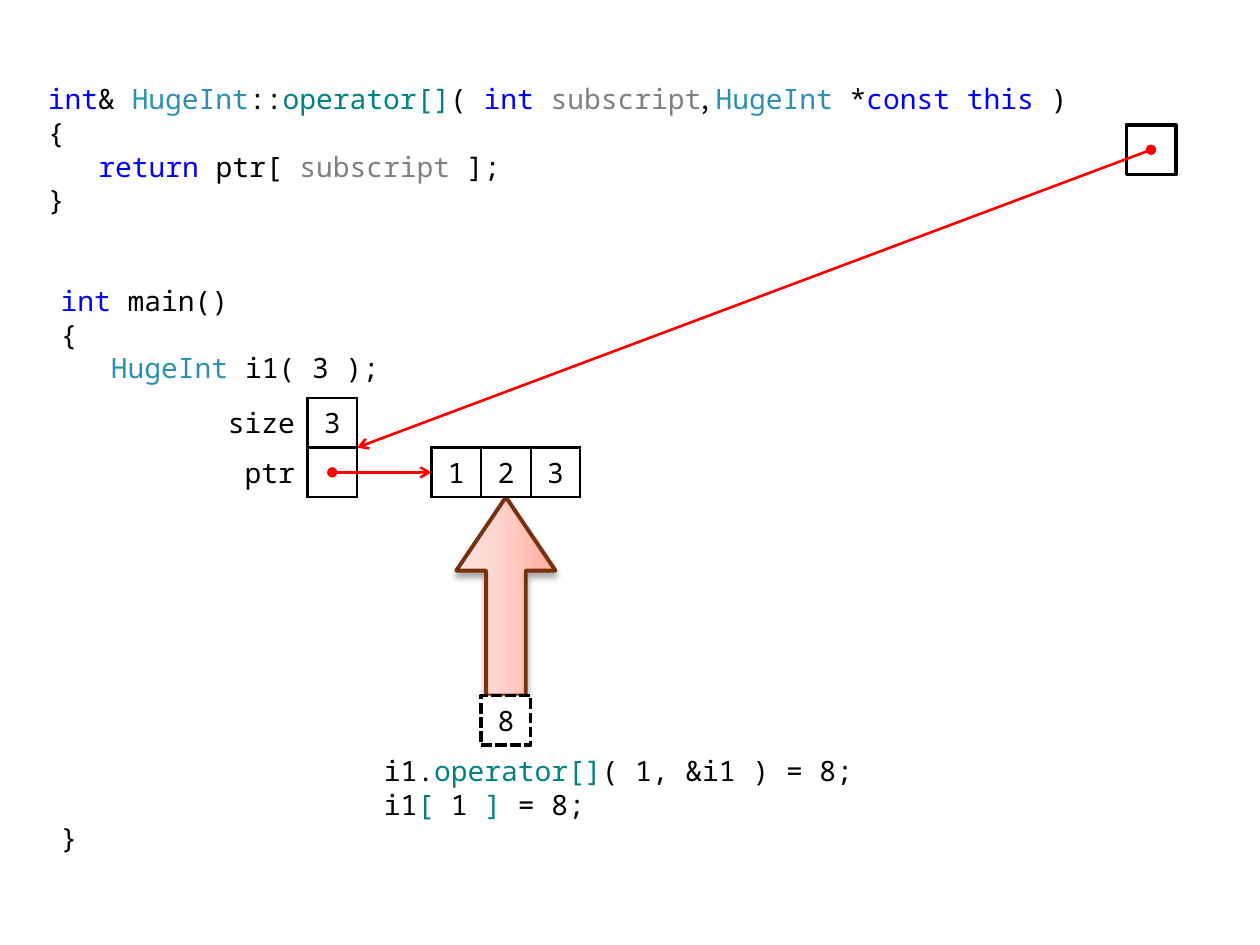
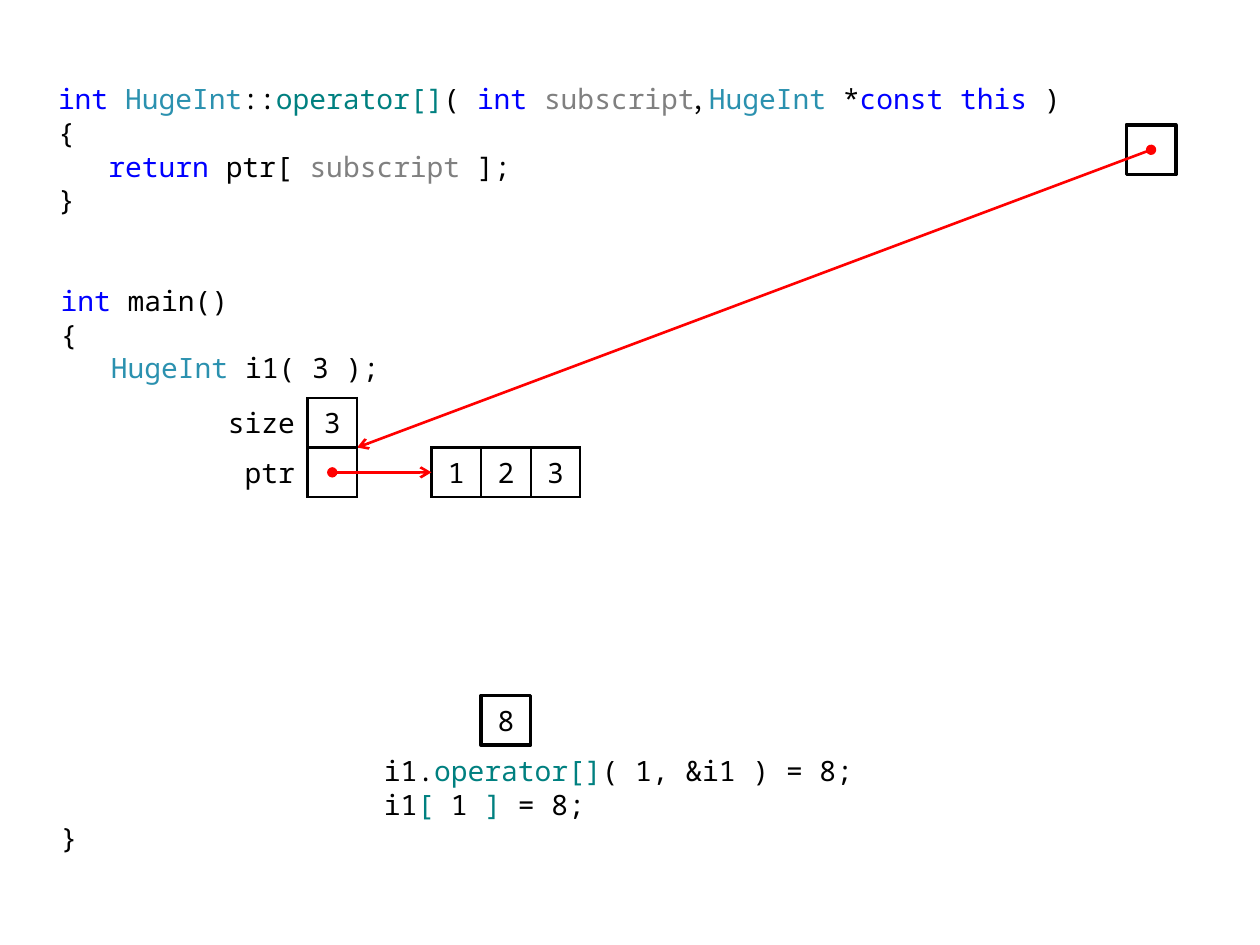
from copy import deepcopy

from lxml import etree
from pptx import Presentation
from pptx.dml.color import RGBColor
from pptx.enum import dml, shapes, text
from pptx.oxml import ns
from pptx.util import Pt

FONT, COMMA_FONT, FONT_SIZE = "Noto Sans Mono", "Noto Sans CJK TC", 16
BLACK, WHITE, RED = "000000", "FFFFFF", "FF0000"
KEYWORD, TYPE, OPERATOR, PARAMETER = "0000FF", "2B91AF", "008080", "808080"

LINE_HEIGHT = 19.2
CHARACTER = 9.6
MAIN_INDENT = 7.2
CELL = 28.35

OBJECT_LEFT, OBJECT_TOP = 119, 227.4
OBJECT_RIGHT = OBJECT_LEFT + 3 * CELL
ARRAY_LEFT, ARRAY_TOP = OBJECT_RIGHT + 1.5 * CELL, OBJECT_TOP + CELL
VALUE_LEFT, VALUE_TOP = ARRAY_LEFT + CELL, ARRAY_TOP + 5 * CELL
THIS_LEFT, THIS_TOP = 643.6, 71.4

# Each line of code: left indent, blank lines above, (wording, colour) parts.
MAIN_CODE = [
    (MAIN_INDENT, 2, [("int", KEYWORD), (" main()", BLACK)]),
    (MAIN_INDENT, 0, [("{", BLACK)]),
    (MAIN_INDENT + 3 * CHARACTER, 0, [("HugeInt ", TYPE), ("i1( 3 );", BLACK)]),
    (20 * CHARACTER, 11, [("i1.", BLACK), ("operator[]", OPERATOR),
                          ("( 1, &i1 ) = 8;", BLACK)]),
    (20 * CHARACTER, 0, [("i1", BLACK), ("[", OPERATOR), (" 1 ", BLACK),
                         ("]", OPERATOR), (" = 8;", BLACK)]),
    (MAIN_INDENT, 0, [("}", BLACK)]),
]


def operator_code(return_type, indent):
    """Lines of the subscript operator, which differ in return type and indent."""
    signature = return_type + [
        ("HugeInt", TYPE), ("::", BLACK), ("operator[]", OPERATOR), ("( ", BLACK),
        ("int ", KEYWORD), ("subscript", PARAMETER), (", ", BLACK),
        ("HugeInt ", TYPE), ("*", BLACK), ("const this", KEYWORD), (" )", BLACK)]
    body = [("return ", KEYWORD), ("ptr[ ", BLACK), ("subscript", PARAMETER),
            (" ];", BLACK)]
    return [(indent, 0, signature), (indent, 0, [("{", BLACK)]),
            (indent + 3 * CHARACTER, 0, body), (indent, 0, [("}", BLACK)])]


def colour(hex_code):
    return RGBColor.from_string(hex_code)


def box(left, top, width, height):
    return [Pt(round(length, 2)) for length in (left, top, width, height)]


def add_xml(parent, tag, **attributes):
    return etree.SubElement(parent, ns.qn(tag), attributes)


def style_run(run, hex_code=BLACK, font=FONT):
    run.font.name = font
    run.font.size = Pt(FONT_SIZE)
    run.font.color.rgb = colour(hex_code)


def set_value(text_frame, wording, alignment=text.PP_ALIGN.CENTER):
    text_frame.text = wording
    paragraph = text_frame.paragraphs[0]
    paragraph.alignment = alignment
    for run in paragraph.runs:
        style_run(run)


def add_code(slide, left, top, width, height, lines):
    slide.shapes.title.element.getparent().remove(slide.shapes.title.element)
    body = slide.placeholders[1]
    body.left, body.top, body.width, body.height = box(left, top, width, height)
    text_frame = body.text_frame
    text_frame.auto_size = text.MSO_AUTO_SIZE.NONE
    text_frame.vertical_anchor = text.MSO_ANCHOR.TOP
    for number, (indent, blank_lines, parts) in enumerate(lines):
        paragraph = text_frame.add_paragraph() if number else text_frame.paragraphs[0]
        paragraph.line_spacing = Pt(LINE_HEIGHT)
        paragraph.space_before = Pt(blank_lines * LINE_HEIGHT)
        properties = paragraph._p.get_or_add_pPr()
        properties.set("marL", str(Pt(indent)))
        properties.set("indent", "0")
        add_xml(properties, "a:buNone")
        for wording, hex_code in parts:
            run = paragraph.add_run()
            run.text = wording
            style_run(run, hex_code, COMMA_FONT if wording == ", " else FONT)


def format_value_frame(text_frame):
    text_frame.margin_left = text_frame.margin_right = Pt(7.2)
    text_frame.margin_top = text_frame.margin_bottom = Pt(3.2)
    text_frame.vertical_anchor = text.MSO_ANCHOR.MIDDLE
    text_frame.word_wrap = True


def add_value_box(slide, left, top, value="", dash=None):
    """A square memory cell outside the tables."""
    square = slide.shapes.add_shape(shapes.MSO_SHAPE.RECTANGLE, *box(left, top, CELL, CELL))
    square.shadow.inherit = False
    square.fill.solid()
    square.fill.fore_color.rgb = colour(WHITE)
    square.line.color.rgb = colour(BLACK)
    square.line.width = Pt(2)
    if dash:
        square.line.dash_style = dash
    if value:
        format_value_frame(square.text_frame)
        set_value(square.text_frame, value)


def add_value_text(slide, left, top, value):
    label = slide.shapes.add_textbox(*box(left, top, CELL, CELL))
    format_value_frame(label.text_frame)
    set_value(label.text_frame, value)


def add_pointer(slide, start_x, start_y, end_x, end_y):
    pointer = slide.shapes.add_connector(
        shapes.MSO_CONNECTOR.STRAIGHT, *box(start_x, start_y, end_x, end_y))
    pointer.line.color.rgb = colour(RED)
    pointer.line.width = Pt(1.5)
    line = pointer.line._get_or_add_ln()
    add_xml(line, "a:headEnd", type="oval")
    add_xml(line, "a:tailEnd", type="arrow")
    add_xml(pointer.element.spPr, "a:effectLst")


def set_borders(cell, sides):
    """Draw black borders on the given sides, named L, R, T and B in that order."""
    properties = cell._tc.get_or_add_tcPr()
    for position, side in enumerate(sides):
        border = etree.Element(ns.qn("a:ln" + side), w=str(Pt(1.5)))
        add_xml(add_xml(border, "a:solidFill"), "a:srgbClr", val=BLACK)
        properties.insert(position, border)


def add_memory_table(slide, left, top, rows, widths, label_column=False):
    """Bordered cells, with an optional first column of unframed labels."""
    frame = slide.shapes.add_table(
        len(rows), len(widths), *box(left, top, sum(widths), len(rows) * CELL))
    table = frame.table
    table.first_row = table.horz_banding = False
    for column, width in zip(table.columns, widths):
        column.width = Pt(width)
    for row_number, row in enumerate(rows):
        table.rows[row_number].height = Pt(CELL)
        for column_number, value in enumerate(row):
            is_label = label_column and column_number == 0
            cell = table.cell(row_number, column_number)
            cell.margin_left = cell.margin_right = Pt(7.2)
            cell.margin_top = cell.margin_bottom = 0
            cell.vertical_anchor = text.MSO_ANCHOR.MIDDLE
            cell.fill.solid()
            cell.fill.fore_color.rgb = colour(WHITE)
            set_borders(cell, "R" if is_label else "LRTB")
            set_value(cell.text_frame, value,
                      text.PP_ALIGN.RIGHT if is_label else text.PP_ALIGN.CENTER)


def add_assignment_arrow(slide, center_x, top, length, breadth):
    """A block arrow pointing up, turned from a right arrow."""
    arrow = slide.shapes.add_shape(
        shapes.MSO_SHAPE.RIGHT_ARROW,
        *box(center_x - length / 2, top + (length - breadth) / 2, length, breadth))
    arrow.rotation = 270
    arrow.adjustments[0], arrow.adjustments[1] = 0.4, 0.74
    arrow.line.color.rgb = colour("78310B")
    arrow.line.width = Pt(2.25)

    arrow.fill.gradient()
    arrow.fill.gradient_angle = 90
    stops = arrow.element.spPr.find(".//" + ns.qn("a:gsLst"))
    stops.append(deepcopy(stops[0]))
    shades = [(0, "FFAC9C"), (0.65, "FFD8D2"), (1, "FFE4DF")]
    for stop, (position, shade) in zip(arrow.fill.gradient_stops, shades):
        stop.position = position
        stop.color.rgb = colour(shade)

    arrow.shadow.inherit = False
    effects = arrow.element.spPr.find(ns.qn("a:effectLst"))
    shadow = add_xml(effects, "a:outerShdw", blurRad=str(Pt(4)), dist=str(Pt(3)),
                     dir="5400000", rotWithShape="0")
    add_xml(add_xml(shadow, "a:srgbClr", val=BLACK), "a:alpha", val="35000")


def add_memory(slide):
    """The object, its array and the pointers that lead to them."""
    add_value_box(slide, THIS_LEFT, THIS_TOP)
    add_pointer(slide, THIS_LEFT + CELL / 2, THIS_TOP + CELL / 2, OBJECT_RIGHT, ARRAY_TOP)
    add_memory_table(slide, OBJECT_LEFT, OBJECT_TOP, [["size", "3"], ["ptr", ""]],
                     [2 * CELL, CELL], label_column=True)
    add_memory_table(slide, ARRAY_LEFT, ARRAY_TOP, [["1", "", "3"]], [CELL] * 3)
    pointer_y = ARRAY_TOP + CELL / 2
    add_pointer(slide, OBJECT_RIGHT - CELL / 2, pointer_y, ARRAY_LEFT, pointer_y)
    add_value_text(slide, VALUE_LEFT, ARRAY_TOP, "2")


def add_operator_slide(presentation, return_type, indent, by_reference):
    slide = presentation.slides.add_slide(presentation.slide_layouts[1])
    add_code(slide, 20.2, 43.2, 680.4, 453.6,
             operator_code(return_type, indent) + MAIN_CODE)
    if by_reference:
        add_assignment_arrow(slide, VALUE_LEFT + CELL / 2, ARRAY_TOP + CELL,
                             4 * CELL, 2 * CELL)
    add_value_box(slide, VALUE_LEFT, VALUE_TOP, "8",
                  dml.MSO_LINE.SQUARE_DOT if by_reference else None)
    add_memory(slide)


def main():
    presentation = Presentation()
    presentation.slide_width, presentation.slide_height = Pt(720), Pt(540)
    add_operator_slide(presentation, [("int", KEYWORD), ("& ", BLACK)], 0, True)
    add_operator_slide(presentation, [("int ", KEYWORD)], 5.76, False)
    presentation.save("out.pptx")


if __name__ == "__main__":
    main()
